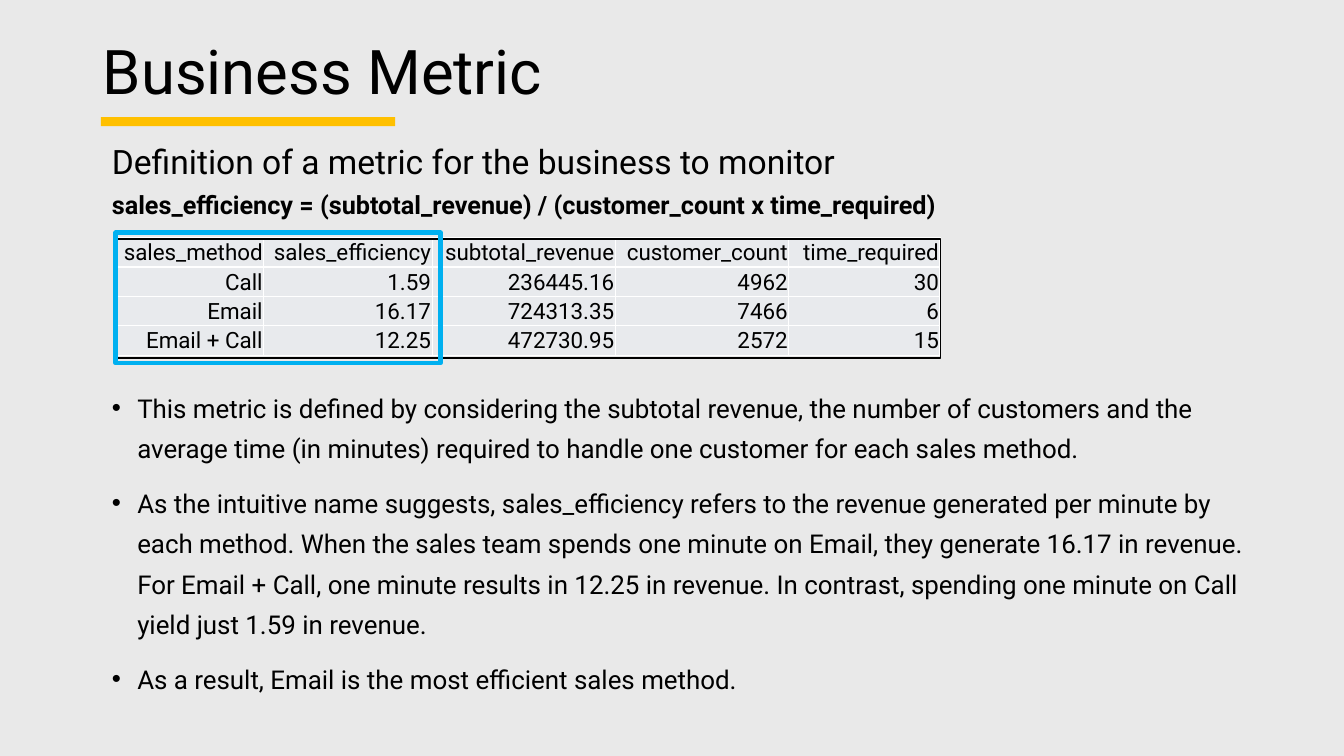
from lxml import etree
from pptx import Presentation
from pptx.dml.color import RGBColor
from pptx.enum.shapes import MSO_SHAPE
from pptx.enum.text import MSO_ANCHOR, PP_ALIGN
from pptx.oxml.ns import qn
from pptx.util import Cm, Pt

RECT = MSO_SHAPE.RECTANGLE
MIDDLE = MSO_ANCHOR.MIDDLE
TOP = MSO_ANCHOR.TOP
RIGHT = PP_ALIGN.RIGHT

FONT = "Roboto"
BLACK = RGBColor(0x00, 0x00, 0x00)
GRAY = RGBColor(0xE9, 0xE9, 0xE9)
CELL = RGBColor(0xE8, 0xEA, 0xED)
WHITE = RGBColor(0xFF, 0xFF, 0xFF)
AMBER = RGBColor(0xFF, 0xC0, 0x00)
BLUE = RGBColor(0x00, 0xB0, 0xF0)


def add_run(p, text, size, bold=False):
    r = p.add_run()
    r.text = text
    for name, value in {"name": FONT, "size": Pt(size), "bold": bold}.items():
        setattr(r.font, name, value)
    r.font.color.rgb = BLACK


def add_text(box, paragraphs, size, bold=False, anchor=TOP, spacing=0.9, before=10):
    tf = s.shapes.add_textbox(*map(Cm, box)).text_frame
    tf.word_wrap = True
    tf.vertical_anchor = anchor
    for i, text in enumerate(paragraphs):
        p = tf.add_paragraph() if i else tf.paragraphs[0]
        p.line_spacing = spacing
        p.space_before = Pt(before)
        add_run(p, text, size, bold)
    return tf


prs = Presentation()
prs.slide_width, prs.slide_height = Cm(33.87), Cm(19.05)
s = prs.slides.add_slide(prs.slide_layouts[6])
s.background.fill.solid()
s.background.fill.fore_color.rgb = GRAY

# Title and headings
add_text((2.34, 0.03, 29.21, 3.68), ["Business Metric"], 44, anchor=MIDDLE, before=0)
add_text((2.57, 3.53, 28.98, 1.19),
         ["Definition of a metric for the business to monitor"], 24)
add_text((2.57, 4.72, 28.98, 1.19),
         ["sales_efficiency = (subtotal_revenue) / (customer_count x time_required)"],
         18, bold=True)

# Metric table
rows = [
    ("sales_method", "sales_efficiency", "subtotal_revenue", "customer_count", "time_required"),
    ("Call", "1.59", "236445.16", "4962", "30"),
    ("Email", "16.17", "724313.35", "7466", "6"),
    ("Email + Call", "12.25", "472730.95", "2572", "15"),
]
widths = (3.73, 4.24, 4.62, 4.37, 3.81)
cell_format = {"margin_left": Cm(0.03), "margin_right": Cm(0.03),
               "margin_top": Cm(0.03), "margin_bottom": 0,
               "vertical_anchor": MIDDLE}
table = s.shapes.add_table(len(rows), len(widths), Cm(2.92), Cm(5.99),
                           Cm(sum(widths)), Cm(2.96)).table
for column, width in zip(table.columns, widths):
    column.width = Cm(width)
for i, row in enumerate(rows):
    for j, text in enumerate(row):
        cell = table.cell(i, j)
        for name, value in cell_format.items():
            setattr(cell, name, value)
        cell.fill.solid()
        cell.fill.fore_color.rgb = CELL
        p = cell.text_frame.paragraphs[0]
        p.alignment = RIGHT
        add_run(p, text, 16)
        # Borders come before the fill in the cell properties
        tc_pr = cell._tc.get_or_add_tcPr()
        for k, side in enumerate(("a:lnL", "a:lnR", "a:lnT", "a:lnB")):
            ln = etree.Element(qn(side), w=str(Pt(1)))
            fill = etree.SubElement(ln, qn("a:solidFill"))
            etree.SubElement(fill, qn("a:srgbClr"), val=str(WHITE))
            tc_pr.insert(k, ln)

# Title rule, table outline and highlight frame
for box, fill, line, weight in (
    ((2.54, 2.95, 7.42, 0.23), AMBER, None, 0),
    ((2.92, 6.02, 20.78, 3.0), None, BLACK, 1),
    ((2.92, 5.87, 8.18, 3.28), None, BLUE, 3.5),
):
    sp = s.shapes.add_shape(RECT, *map(Cm, box))
    sp.shadow.inherit = False
    for part, color in ((sp.fill, fill), (sp.line.fill, line)):
        if color is None:
            part.background()
        else:
            part.solid()
            part.fore_color.rgb = color
    if line is not None:
        sp.line.width = Pt(weight)

# Bulleted explanation
tf = add_text((2.57, 9.53, 29.41, 8.28), [
    "This metric is defined by considering the subtotal revenue, the number of "
    "customers and the average time (in minutes) required to handle one customer "
    "for each sales method.",
    "As the intuitive name suggests, sales_efficiency refers to the revenue generated "
    "per minute by each method. When the sales team spends one minute on Email, they "
    "generate 16.17 in revenue. For Email + Call, one minute results in 12.25 in "
    "revenue. In contrast, spending one minute on Call yield just 1.59 in revenue.",
    "As a result, Email is the most efficient sales method.",
], 18.5, spacing=1.3)
for p in tf.paragraphs:
    p_pr = p._p.get_or_add_pPr()
    p_pr.set("marL", str(Cm(0.64)))
    p_pr.set("indent", str(-Cm(0.64)))
    etree.SubElement(p_pr, qn("a:buFont"), typeface="Arial")
    etree.SubElement(p_pr, qn("a:buChar"), char="•")

prs.save("out.pptx")
